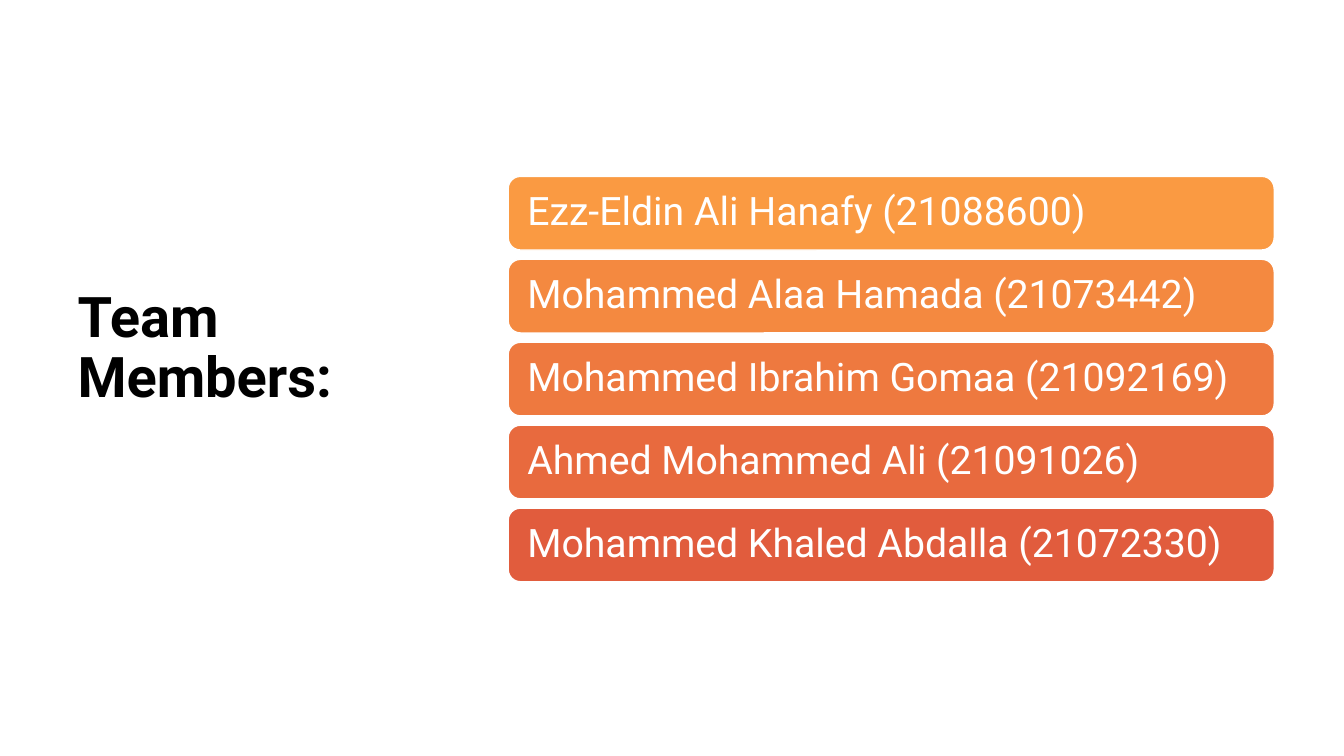
from pptx import Presentation
from pptx.dml.color import RGBColor
from pptx.enum.shapes import MSO_SHAPE
from pptx.enum.text import MSO_ANCHOR, MSO_AUTO_SIZE, PP_ALIGN
from pptx.util import Pt

ROUND = MSO_SHAPE.ROUNDED_RECTANGLE
MIDDLE = MSO_ANCHOR.MIDDLE
LEFT = PP_ALIGN.LEFT
FIXED = MSO_AUTO_SIZE.NONE

MEMBERS = [
    ("Ezz-Eldin Ali Hanafy (21088600)", "FA9A42"),
    ("Mohammed Alaa Hamada (21073442)", "F48940"),
    ("Mohammed Ibrahim Gomaa (21092169)", "EE793F"),
    ("Ahmed Mohammed Ali (21091026)", "E86A3E"),
    ("Mohammed Khaled Abdalla (21072330)", "E15C3D"),
]
TOP, PITCH = 126, 59.24


def color(code):
    return RGBColor.from_string(code)


def write(shape, text, size, fill, bold=False, side=7.2, bottom=3.6):
    frame = shape.text_frame
    frame.auto_size = FIXED
    frame.word_wrap = True
    frame.vertical_anchor = MIDDLE
    frame.margin_left = frame.margin_right = Pt(side)
    frame.margin_top, frame.margin_bottom = Pt(3.6), Pt(bottom)
    para = frame.paragraphs[0]
    para.alignment = LEFT
    para.line_spacing = 0.9
    run = para.add_run()
    run.text = text
    font = run.font
    font.name, font.size, font.bold = "Roboto", Pt(size), bold
    font.color.rgb = color(fill)


deck = Presentation()
deck.slide_width, deck.slide_height = Pt(960), Pt(540)
slide = deck.slides.add_slide(deck.slide_layouts[5])

title = slide.shapes.title
title.left, title.top = Pt(48.24), Pt(43.2)
title.width, title.height = Pt(275), Pt(455.8)
write(title, "Team Members:", 40, "000000", bold=True, bottom=46.8)

for row, (name, fill) in enumerate(MEMBERS):
    bar = slide.shapes.add_shape(
        ROUND, Pt(363), Pt(TOP + row * PITCH), Pt(547.2), Pt(52.6))
    bar.shadow.inherit = False
    bar.fill.solid()
    bar.fill.fore_color.rgb = color(fill)
    bar.line.color.rgb = color("FFFFFF")
    bar.line.width = Pt(1)
    write(bar, name, 28, "FFFFFF", side=11.2)

deck.save("out.pptx")
